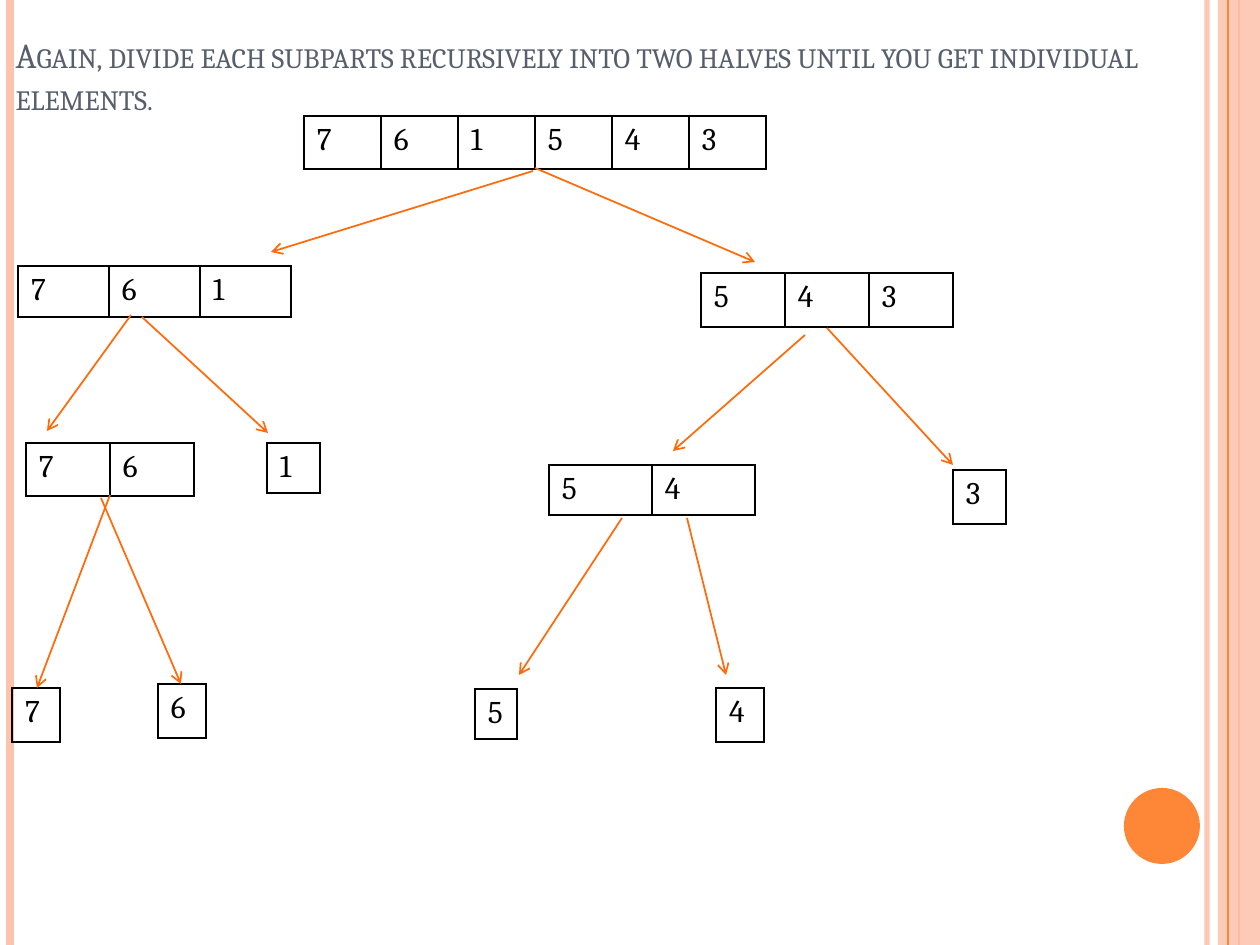
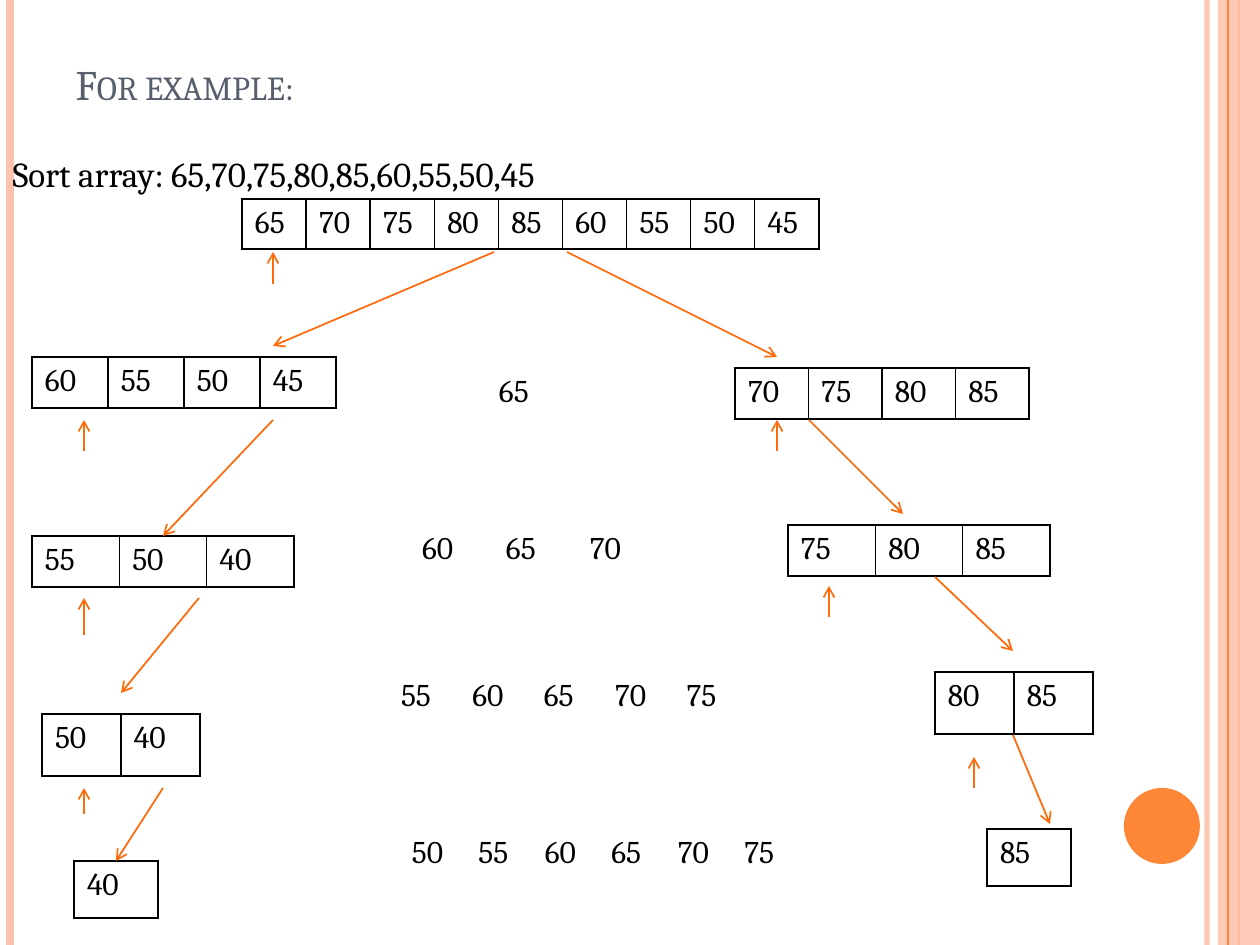
"""Build two slides that show arrays being divided step by step."""
import dataclasses
import typing

import lxml.etree
import pptx
import pptx.dml.color
import pptx.enum.shapes
import pptx.enum.text
import pptx.oxml.ns
import pptx.slide
import pptx.util

EMU_PER_PX = 914400 / 126
SLIDE_WIDTH, SLIDE_HEIGHT = 1260, 945
FONT = "Cambria"
COLORS = {
    "title": "575F6D",
    "text": "000000",
    "border": "000000",
    "arrow": "FF6B0A",
    "accent": "FE8637",
    "band": "FEC3AE",
}


@dataclasses.dataclass(frozen=True)
class Array:
    left: int
    top: int
    width: int
    height: int
    values: str
    ruled: bool = True
    inset: int = 13


class Arrow(typing.NamedTuple):
    start_x: int
    start_y: int
    end_x: int
    end_y: int


class Stripe(typing.NamedTuple):
    x: int
    color: str
    points: float
    opacity: int = 100


class Area(typing.NamedTuple):
    left: int
    top: int
    width: int
    height: int


STRIPES_BELOW = [
    Stripe(1207, "band", 3, 93),
    Stripe(10, "band", 4.5),
    Stripe(1239, "accent", 1.5),
]
STRIPE_ABOVE = Stripe(1228, "accent", 0.75)
SIDE_BAND = Area(1218, 0, 42, SLIDE_HEIGHT)
DISC = Area(1124, 788, 76, 76)

DIVIDE_ARRAYS = [
    Array(304, 116, 462, 53, "7 6 1 5 4 3"),
    Array(18, 266, 273, 51, "7 6 1"),
    Array(701, 273, 252, 54, "5 4 3"),
    Array(26, 443, 168, 53, "7 6"),
    Array(549, 465, 206, 50, "5 4"),
    Array(953, 470, 53, 54, "3"),
    Array(267, 443, 53, 50, "1"),
    Array(12, 688, 48, 54, "7"),
    Array(158, 684, 48, 54, "6"),
    Array(475, 689, 42, 50, "5"),
    Array(716, 688, 48, 54, "4"),
]
DIVIDE_ARROWS = [
    Arrow(533, 171, 271, 252),
    Arrow(535, 168, 755, 262),
    Arrow(142, 317, 268, 433),
    Arrow(131, 315, 47, 431),
    Arrow(805, 335, 673, 451),
    Arrow(827, 328, 953, 465),
    Arrow(110, 495, 37, 688),
    Arrow(101, 498, 181, 684),
    Arrow(622, 518, 519, 675),
    Arrow(687, 518, 726, 675),
]
EXAMPLE_ARRAYS = [
    Array(242, 199, 577, 50, "65 70 75 80 85 60 55 50 45"),
    Array(32, 357, 304, 51, "60 55 50 45"),
    Array(735, 368, 294, 51, "70 75 80 85"),
    Array(32, 536, 262, 51, "55 50 40"),
    Array(788, 525, 262, 51, "75 80 85"),
    Array(935, 672, 158, 62, "80 85"),
    Array(42, 714, 158, 62, "50 40"),
    Array(74, 861, 84, 57, "40"),
    Array(987, 829, 84, 57, "85"),
    Array(472, 368, 105, 54, "65", False, 27),
    Array(409, 525, 252, 51, "60 65 70", False),
    Array(388, 672, 357, 54, "55 60 65 70 75", False),
    Array(399, 829, 399, 54, "50 55 60 65 70 75", False),
]
EXAMPLE_ARROWS = [
    Arrow(494, 252, 273, 346),
    Arrow(567, 252, 777, 357),
    Arrow(273, 420, 163, 536),
    Arrow(809, 420, 903, 514),
    Arrow(199, 598, 121, 693),
    Arrow(935, 577, 1013, 651),
    Arrow(163, 788, 116, 861),
    Arrow(1013, 735, 1050, 824),
    Arrow(84, 814, 84, 788),
    Arrow(84, 635, 84, 598),
    Arrow(84, 451, 84, 420),
    Arrow(777, 451, 777, 420),
    Arrow(829, 617, 829, 586),
    Arrow(974, 788, 974, 757),
    Arrow(273, 284, 273, 252),
]


def px(length: int) -> pptx.util.Emu:
    return pptx.util.Emu(round(length * EMU_PER_PX))


def rgb(name: str) -> pptx.dml.color.RGBColor:
    return pptx.dml.color.RGBColor.from_string(COLORS[name])


def add_element(parent: typing.Any, tag: str, **attributes: str) -> typing.Any:
    return lxml.etree.SubElement(parent, pptx.oxml.ns.qn(tag), attributes)


def set_opacity(element: typing.Any, percent: int) -> None:
    color = next(element.iter(pptx.oxml.ns.qn("a:srgbClr")))
    add_element(color, "a:alpha", val=str(percent * 1000))


def add_span(para: typing.Any, text: str, size: int, color: str) -> typing.Any:
    span = para.add_run()
    span.text = text
    span.font.name = FONT
    span.font.size = pptx.util.Pt(size)
    span.font.color.rgb = rgb(color)
    return span


def add_line(slide: pptx.slide.Slide, ends: tuple, color: str, points: float) -> typing.Any:
    line = slide.shapes.add_connector(
        pptx.enum.shapes.MSO_CONNECTOR.STRAIGHT, *map(px, ends))
    line.line.color.rgb = rgb(color)
    line.line.width = pptx.util.Pt(points)
    add_element(line._element.spPr, "a:effectLst")
    return line


def add_stripe(slide: pptx.slide.Slide, stripe: Stripe) -> None:
    ends = (stripe.x, 0, stripe.x, SLIDE_HEIGHT)
    line = add_line(slide, ends, stripe.color, stripe.points)
    if stripe.opacity < 100:
        set_opacity(line.line._get_or_add_ln(), stripe.opacity)


def add_solid(slide: pptx.slide.Slide, kind: typing.Any, area: Area, color: str) -> typing.Any:
    shape = slide.shapes.add_shape(kind, *map(px, area))
    shape.shadow.inherit = False
    shape.fill.solid()
    shape.fill.fore_color.rgb = rgb(color)
    shape.line.fill.background()
    return shape


def add_frame(slide: pptx.slide.Slide) -> None:
    placeholders = list(slide.placeholders)
    kinds = pptx.enum.shapes.MSO_SHAPE
    for stripe in STRIPES_BELOW:
        add_stripe(slide, stripe)
    band = add_solid(slide, kinds.RECTANGLE, SIDE_BAND, "band")
    set_opacity(band._element.spPr, 87)
    add_stripe(slide, STRIPE_ABOVE)
    add_solid(slide, kinds.OVAL, DISC, "accent")
    for placeholder in placeholders:
        placeholder._element.getparent().append(placeholder._element)


def place_text(box: typing.Any, area: Area, anchor: typing.Any) -> typing.Any:
    box.left, box.top, box.width, box.height = map(px, area)
    frame = box.text_frame
    frame.auto_size = pptx.enum.text.MSO_AUTO_SIZE.NONE
    frame.word_wrap = True
    frame.vertical_anchor = anchor
    para = frame.paragraphs[0]
    para.alignment = pptx.enum.text.PP_ALIGN.LEFT
    para.space_before = pptx.util.Pt(0)
    return para


def set_title(slide: pptx.slide.Slide, text: str, area: Area, size: int) -> None:
    para = place_text(slide.shapes.title, area, pptx.enum.text.MSO_ANCHOR.BOTTOM)
    span = add_span(para, text, size, "title")
    span.font._element.set("cap", "small")


def set_body(slide: pptx.slide.Slide, text: str, area: Area, inset_top: int) -> None:
    box = slide.placeholders[1]
    para = place_text(box, area, pptx.enum.text.MSO_ANCHOR.TOP)
    box.text_frame.margin_top = px(inset_top)
    properties = para._p.get_or_add_pPr()
    properties.set("marL", "0")
    properties.set("indent", "0")
    add_element(properties, "a:buNone")
    add_span(para, text, 20, "text")


def set_borders(cell: typing.Any, ruled: bool) -> None:
    properties = cell._tc.get_or_add_tcPr()
    for position, side in enumerate(("a:lnL", "a:lnR", "a:lnT", "a:lnB")):
        border = add_element(properties, side, w=str(pptx.util.Pt(1)))
        if ruled:
            fill = add_element(border, "a:solidFill")
            add_element(fill, "a:srgbClr", val=COLORS["border"])
        else:
            add_element(border, "a:noFill")
        properties.insert(position, border)


def add_array(slide: pptx.slide.Slide, array: Array) -> None:
    values = array.values.split()
    area = (array.left, array.top, array.width, array.height)
    table = slide.shapes.add_table(1, len(values), *map(px, area)).table
    table.first_row = False
    table.horz_banding = False
    for cell, value in zip(table.iter_cells(), values):
        cell.fill.background()
        cell.margin_left = px(array.inset)
        set_borders(cell, array.ruled)
        add_span(cell.text_frame.paragraphs[0], value, 18, "text")


def add_tree(slide: pptx.slide.Slide, arrays: list[Array], arrows: list[Arrow]) -> None:
    for array in arrays:
        add_array(slide, array)
    for arrow in arrows:
        line = add_line(slide, arrow, "arrow", 1)
        add_element(line.line._get_or_add_ln(), "a:tailEnd", type="arrow")


def add_page(deck: typing.Any, layout: int) -> pptx.slide.Slide:
    page = deck.slides.add_slide(deck.slide_layouts[layout])
    add_frame(page)
    return page


def main() -> None:
    deck = pptx.Presentation()
    deck.slide_width, deck.slide_height = px(SLIDE_WIDTH), px(SLIDE_HEIGHT)

    divide = add_page(deck, 5)
    set_title(
        divide,
        "Again, divide each subparts recursively into two halves "
        "until you get individual elements.",
        Area(3, 32, 1250, 92), 20)
    add_tree(divide, DIVIDE_ARRAYS, DIVIDE_ARROWS)

    example = add_page(deck, 1)
    set_title(example, "For example:", Area(63, 74, 1134, 41), 24)
    set_body(example, "Sort array: 65,70,75,80,85,60,55,50,45",
             Area(0, 94, 1197, 829), 58)
    add_tree(example, EXAMPLE_ARRAYS, EXAMPLE_ARROWS)

    deck.save("out.pptx")


if __name__ == "__main__":
    main()
